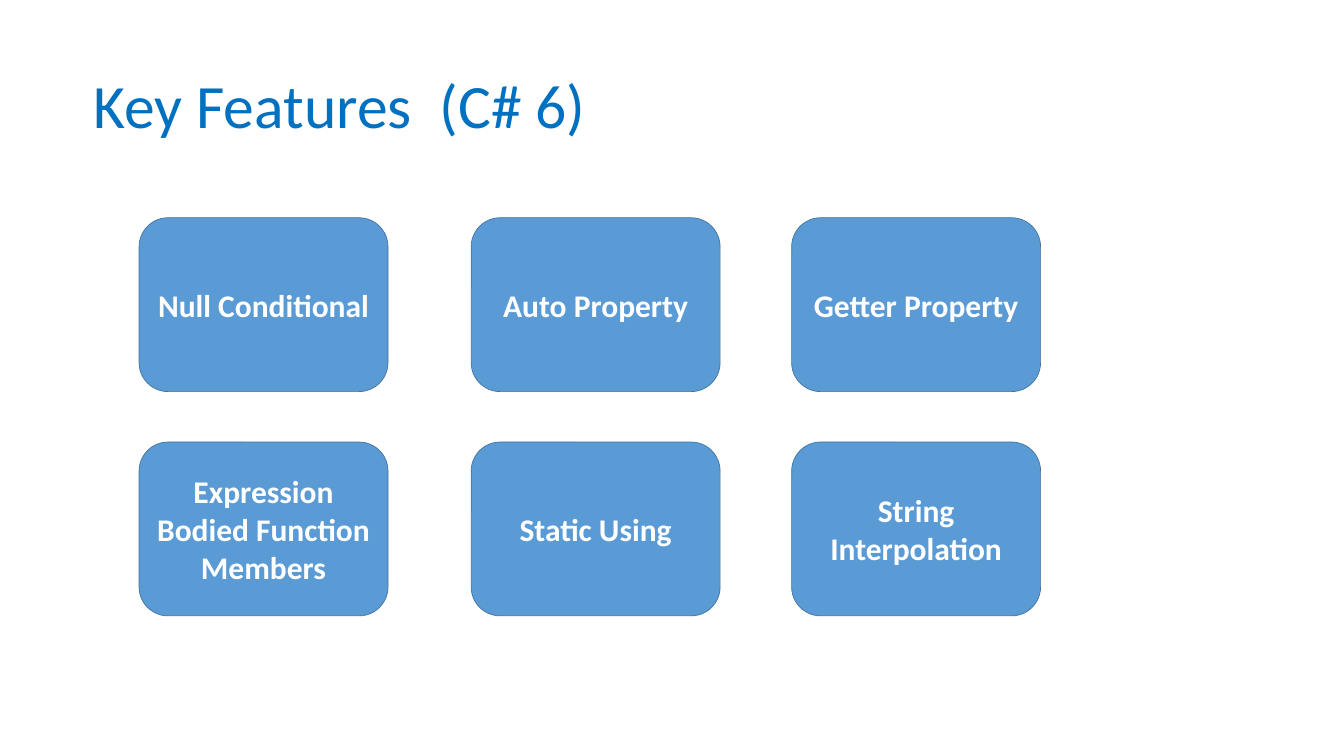
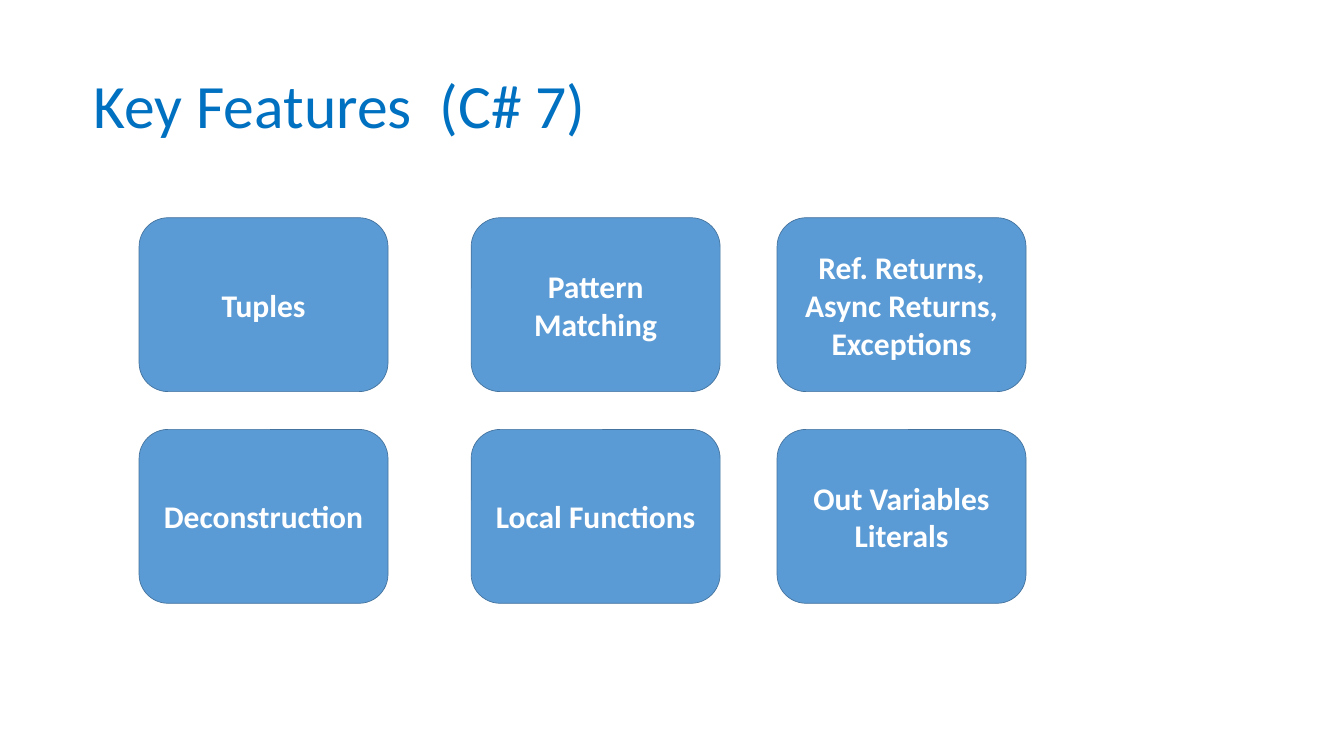
from itertools import product

from pptx import Presentation
from pptx.dml.color import RGBColor
from pptx.enum.shapes import MSO_SHAPE
from pptx.enum.text import MSO_ANCHOR, PP_ALIGN
from pptx.util import Inches, Pt

WIDE, HIGH = 26.67, 15
COLORS = {"title": "0070C0", "card": "5B9BD5", "edge": "43739E", "label": "FFFFFF"}
TITLE = {"name": "Calibri", "size": Pt(88), "bold": False}
LABEL = {"name": "Calibri", "size": Pt(45), "bold": True}

# Card grid, in inches
CARD_W, CARD_H = 4.94, 3.45
LEFT, MID, TOP = 2.76, 9.35, 4.32

# Title, left of the third column, top of the second row, cards row by row
DECKS = [
    ("Key Features  (C# 6)", 15.71, 8.77, [
        "Null Conditional", "Auto Property", "Getter Property",
        "Expression Bodied Function Members", "Static Using",
        "String Interpolation"]),
    ("Key Features  (C# 7)", 15.42, 8.52, [
        "Tuples", "Pattern\nMatching",
        "Ref. Returns, Async Returns, Exceptions",
        "Deconstruction", "Local Functions", "Out Variables Literals"]),
]


def color(key):
    return RGBColor.from_string(COLORS[key])


def write(frame, text, style, key, align, space=1.0):
    """Fill a text frame, one paragraph per line."""
    frame.word_wrap = True
    frame.vertical_anchor = MSO_ANCHOR.MIDDLE
    frame.text = text
    for para in frame.paragraphs:
        para.alignment = align
        para.line_spacing = space
        for run in para.runs:
            for name, value in style.items():
                setattr(run.font, name, value)
            run.font.color.rgb = color(key)


def add_title(slide, text):
    box = slide.shapes.add_textbox(
        Inches(1.86), Inches(0.7), Inches(23), Inches(2.9))
    box.text_frame.margin_left = box.text_frame.margin_right = 0
    write(box.text_frame, text, TITLE, "title", PP_ALIGN.LEFT, 0.9)


def add_card(slide, text, left, top):
    card = slide.shapes.add_shape(
        MSO_SHAPE.ROUNDED_RECTANGLE,
        Inches(left), Inches(top), Inches(CARD_W), Inches(CARD_H))
    card.shadow.inherit = False
    card.fill.solid()
    card.fill.fore_color.rgb = color("card")
    card.line.color.rgb = color("edge")
    card.line.width = Pt(1)
    write(card.text_frame, text, LABEL, "label", PP_ALIGN.CENTER)


def main():
    deck = Presentation()
    deck.slide_width, deck.slide_height = Inches(WIDE), Inches(HIGH)
    blank = deck.slide_layouts[6]
    for title, right, low, cards in DECKS:
        slide = deck.slides.add_slide(blank)
        add_title(slide, title)
        # Two rows of three cards
        grid = product((TOP, low), (LEFT, MID, right))
        for text, (top, left) in zip(cards, grid):
            add_card(slide, text, left, top)
    deck.save("out.pptx")


if __name__ == "__main__":
    main()
